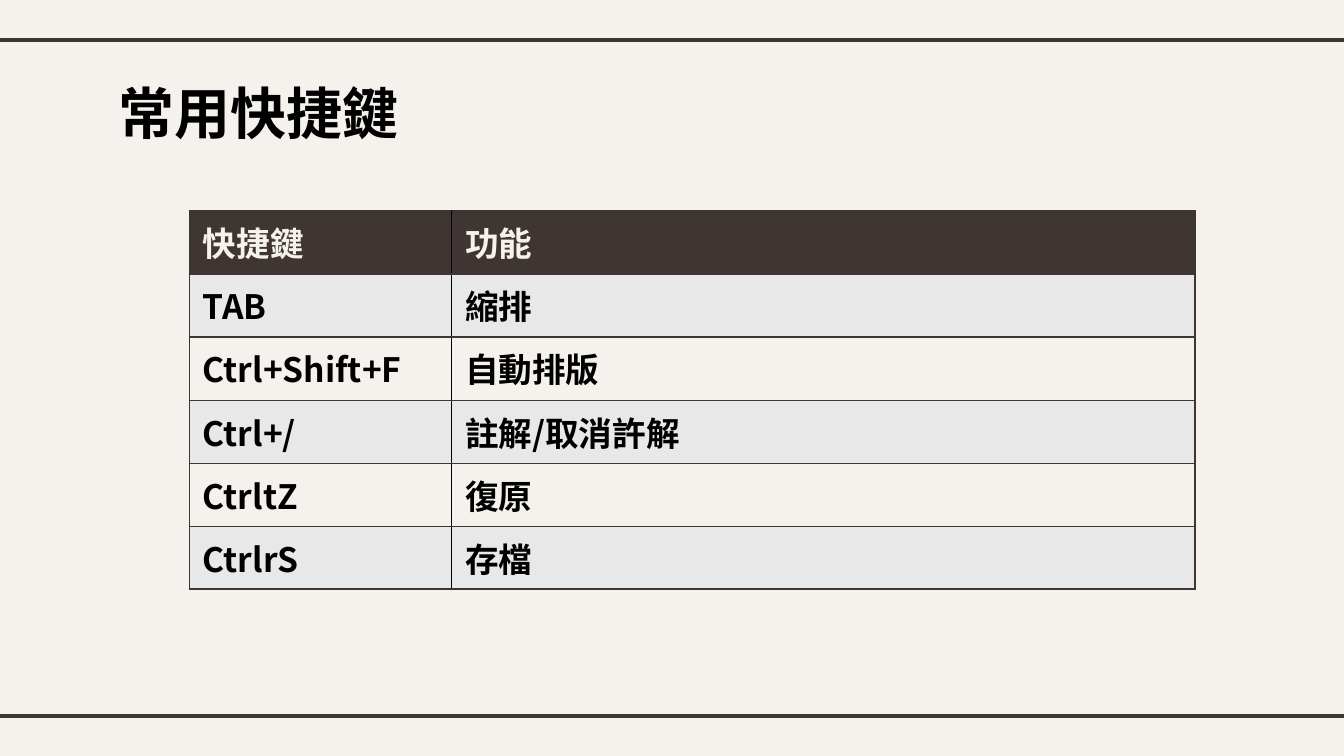
from dataclasses import dataclass

import pptx
import pptx.dml.color
import pptx.enum.shapes
import pptx.enum.text
import pptx.oxml.ns
import pptx.util
from lxml import etree

WIDTH = 10
HEIGHT = WIDTH * 9 / 16
FONT = "Noto Sans CJK SC"
BROWN, CREAM, GRAY, BLACK = "3F3533", "F5F2EE", "E8E8E8", "000000"
TABLE_LEFT, TABLE_TOP = 1.41, 1.57
COLUMN_WIDTHS = (1.95, 5.53)
ROW_HEIGHT, LAST_ROW_HEIGHT = 0.47, 0.44


@dataclass(frozen=True)
class Shortcut:
    keys: str
    action: str


@dataclass(frozen=True)
class CellStyle:
    fill: str
    text: str


HEADER = Shortcut("快捷鍵", "功能")
SHORTCUTS = [
    Shortcut("TAB", "縮排"),
    Shortcut("Ctrl+Shift+F", "自動排版"),
    Shortcut("Ctrl+/", "註解/取消許解"),
    Shortcut("CtrltZ", "復原"),
    Shortcut("CtrlrS", "存檔"),
]
HEADER_STYLE = CellStyle(BROWN, CREAM)
BAND_STYLES = (CellStyle(GRAY, BLACK), CellStyle(CREAM, BLACK))


def color(value: str) -> pptx.dml.color.RGBColor:
    return pptx.dml.color.RGBColor.from_string(value)


def inches(value: float) -> int:
    return pptx.util.Inches(value)


def add_child(parent, tag: str, **attributes: str):
    return etree.SubElement(parent, pptx.oxml.ns.qn(tag), **attributes)


def write(frame, text: str, size: float, text_color: str) -> None:
    frame.text = text
    for span in frame.paragraphs[0].runs:
        span.font.size = pptx.util.Pt(size)
        span.font.bold = True
        span.font.name = FONT
        span.font.color.rgb = color(text_color)
        add_child(span.font._element, "a:ea", typeface=FONT)


def add_rule(slide, y: float) -> None:
    overhang = 0.008 * WIDTH
    rule = slide.shapes.add_connector(
        pptx.enum.shapes.MSO_CONNECTOR.STRAIGHT,
        inches(-overhang), inches(y), inches(WIDTH + overhang), inches(y),
    )
    rule.line.color.rgb = color(BROWN)
    rule.line.width = pptx.util.Pt(2.25)
    add_child(rule._element.spPr, "a:effectLst")


def add_title(slide, text: str) -> None:
    title = slide.shapes.title
    title.left, title.top = inches(0.78), inches(0.52)
    title.width, title.height = inches(6.21), inches(0.63)
    frame = title.text_frame
    frame.margin_left = frame.margin_right = inches(0.1)
    frame.margin_top = frame.margin_bottom = inches(0.1)
    frame.vertical_anchor = pptx.enum.text.MSO_ANCHOR.MIDDLE
    frame.auto_size = pptx.enum.text.MSO_AUTO_SIZE.NONE
    write(frame, text, 30, BLACK)
    para = frame.paragraphs[0]
    para.alignment = pptx.enum.text.PP_ALIGN.LEFT
    para.line_spacing = 1.0
    para.space_before = pptx.util.Pt(0)


def set_borders(cell, left: str, right: str) -> None:
    properties = cell._tc.get_or_add_tcPr()
    sides = {"a:lnL": left, "a:lnR": right, "a:lnT": BROWN, "a:lnB": BROWN}
    for tag, value in sides.items():
        border = add_child(properties, tag, w=str(pptx.util.Pt(1)))
        add_child(add_child(border, "a:solidFill"), "a:srgbClr", val=value)


def fill_row(table, row: int, shortcut: Shortcut, style: CellStyle) -> None:
    borders = ((BROWN, BLACK), (BLACK, BROWN))
    for column, text in enumerate((shortcut.keys, shortcut.action)):
        cell = table.cell(row, column)
        set_borders(cell, *borders[column])
        cell.fill.solid()
        cell.fill.fore_color.rgb = color(style.fill)
        write(cell.text_frame, text, 18, style.text)


def add_shortcut_table(slide) -> None:
    heights = [ROW_HEIGHT] * len(SHORTCUTS) + [LAST_ROW_HEIGHT]
    table = slide.shapes.add_table(
        len(heights), len(COLUMN_WIDTHS), inches(TABLE_LEFT), inches(TABLE_TOP),
        inches(sum(COLUMN_WIDTHS)), inches(sum(heights)),
    ).table
    table.first_row = table.horz_banding = False
    for column, width in zip(table.columns, COLUMN_WIDTHS):
        column.width = inches(width)
    for row, height in zip(table.rows, heights):
        row.height = inches(height)
    fill_row(table, 0, HEADER, HEADER_STYLE)
    for index, shortcut in enumerate(SHORTCUTS):
        fill_row(table, index + 1, shortcut, BAND_STYLES[index % 2])


def main() -> None:
    deck = pptx.Presentation()
    deck.slide_width, deck.slide_height = inches(WIDTH), inches(HEIGHT)
    page = deck.slides.add_slide(deck.slide_layouts.get_by_name("Title Only"))
    page.background.fill.solid()
    page.background.fill.fore_color.rgb = color(CREAM)
    for y in (0.3, 5.33):
        add_rule(page, y)
    add_title(page, "常用快捷鍵")
    add_shortcut_table(page)
    deck.save("out.pptx")


if __name__ == "__main__":
    main()
